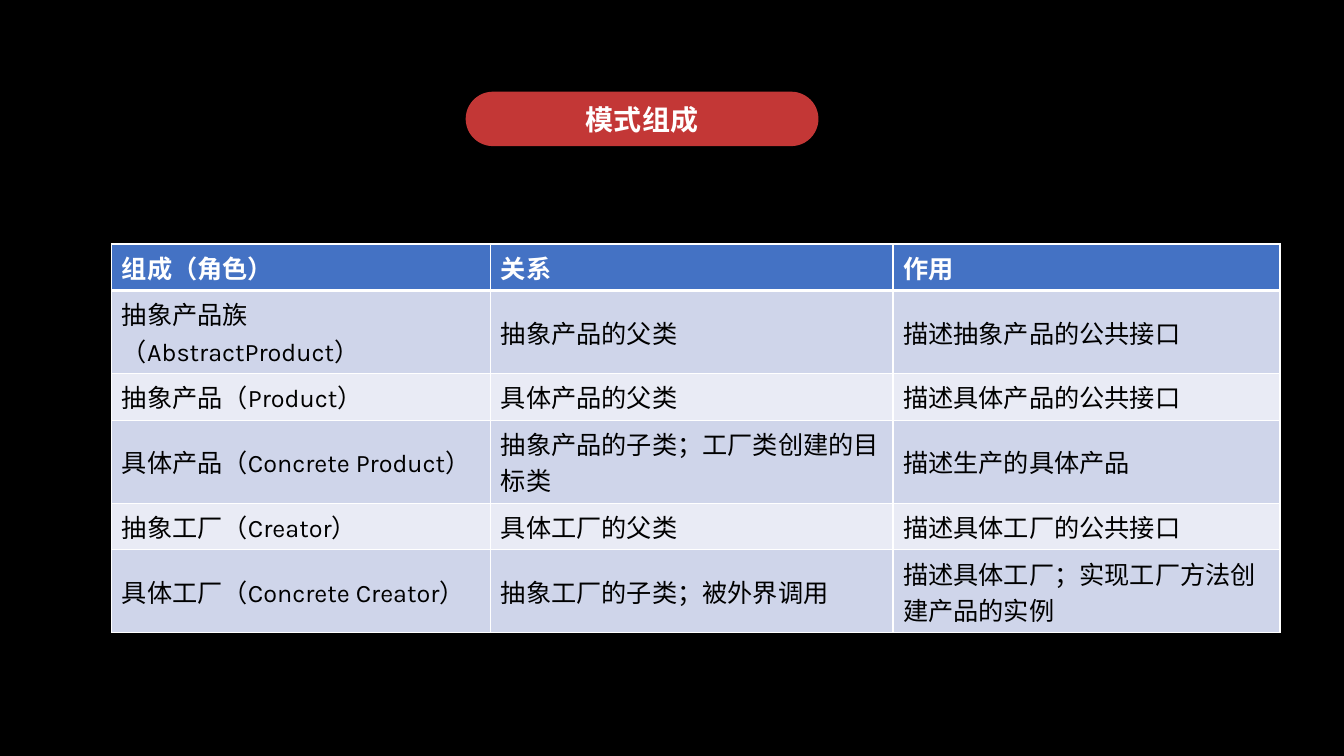
from dataclasses import dataclass

from lxml import etree
from pptx import Presentation
from pptx.dml.color import RGBColor
from pptx.enum.shapes import MSO_SHAPE
from pptx.enum.text import MSO_ANCHOR, PP_ALIGN
from pptx.oxml.ns import qn
from pptx.slide import Slide
from pptx.table import _Cell
from pptx.text.text import _Paragraph
from pptx.util import Pt

ROUNDED_RECTANGLE = MSO_SHAPE.ROUNDED_RECTANGLE
MIDDLE, TOP = MSO_ANCHOR.MIDDLE, MSO_ANCHOR.TOP
CENTER = PP_ALIGN.CENTER


@dataclass(frozen=True)
class Theme:
    font: str = "Karla"
    title_size: float = 20
    table_size: float = 18
    background: str = "000000"
    banner: str = "C33736"
    header: str = "4472C4"
    bands: tuple[str, str] = ("CFD5EA", "E9EBF5")
    light: str = "FFFFFF"
    dark: str = "000000"
    thin_border: float = 1
    thick_border: float = 3


@dataclass(frozen=True)
class Role:
    name: str
    relation: str
    purpose: str


@dataclass(frozen=True)
class CellStyle:
    fill: str
    color: str
    bold: bool
    anchor: MSO_ANCHOR
    top_border: float
    bottom_border: float


THEME = Theme()
HEADINGS = Role("组成（角色）", "关系", "作用")
ROLES = [
    Role("抽象产品族（AbstractProduct）", "抽象产品的父类", "描述抽象产品的公共接口"),
    Role("抽象产品（Product）", "具体产品的父类", "描述具体产品的公共接口"),
    Role("具体产品（Concrete Product）", "抽象产品的子类；工厂类创建的目标类",
         "描述生产的具体产品"),
    Role("抽象工厂（Creator）", "具体工厂的父类", "描述具体工厂的公共接口"),
    Role("具体工厂（Concrete Creator）", "抽象工厂的子类；被外界调用",
         "描述具体工厂；实现工厂方法创建产品的实例"),
]
COLUMN_WIDTHS = (270.72, 287.28, 276.48)
ROW_HEIGHT = 29.52


def add_run(paragraph: _Paragraph, text: str, size: float, color: str, bold: bool) -> None:
    run = paragraph.add_run()
    run.text = text
    run.font.name = THEME.font
    run.font.size = Pt(size)
    run.font.bold = bold
    run.font.color.rgb = RGBColor.from_string(color)


def add_banner(slide: Slide, text: str) -> None:
    banner = slide.shapes.add_shape(ROUNDED_RECTANGLE, Pt(332.64), Pt(65.52), Pt(252), Pt(38.88))
    banner.adjustments[0] = 0.5
    banner.shadow.inherit = False
    banner.fill.solid()
    banner.fill.fore_color.rgb = RGBColor.from_string(THEME.banner)
    banner.line.fill.background()
    banner.text_frame.vertical_anchor = MIDDLE
    paragraph = banner.text_frame.paragraphs[0]
    paragraph.alignment = CENTER
    add_run(paragraph, text, THEME.title_size, THEME.light, True)


def set_borders(cell: _Cell, top: float, bottom: float) -> None:
    """Put the border lines ahead of the cell's fill, as the schema requires."""
    properties = cell._tc.get_or_add_tcPr()
    widths = {"a:lnL": THEME.thin_border, "a:lnR": THEME.thin_border,
              "a:lnT": top, "a:lnB": bottom}
    for position, (tag, width) in enumerate(widths.items()):
        line = etree.Element(qn(tag), w=str(int(Pt(width))))
        fill = etree.SubElement(line, qn("a:solidFill"))
        etree.SubElement(fill, qn("a:srgbClr"), val=THEME.light)
        properties.insert(position, line)


def fill_cell(cell: _Cell, text: str, style: CellStyle) -> None:
    cell.fill.solid()
    cell.fill.fore_color.rgb = RGBColor.from_string(style.fill)
    cell.vertical_anchor = style.anchor
    set_borders(cell, style.top_border, style.bottom_border)
    add_run(cell.text_frame.paragraphs[0], text, THEME.table_size, style.color, style.bold)


def row_style(row_index: int) -> CellStyle:
    thin, thick = THEME.thin_border, THEME.thick_border
    if row_index == 0:
        return CellStyle(THEME.header, THEME.light, True, TOP, thin, thick)
    band = THEME.bands[(row_index - 1) % 2]
    return CellStyle(band, THEME.dark, False, MIDDLE, thick if row_index == 1 else thin, thin)


def add_role_table(slide: Slide) -> None:
    rows = [HEADINGS, *ROLES]
    table = slide.shapes.add_table(
        len(rows), len(COLUMN_WIDTHS), Pt(79.92), Pt(174.24),
        Pt(sum(COLUMN_WIDTHS)), Pt(ROW_HEIGHT * len(rows))).table
    for column, width in zip(table.columns, COLUMN_WIDTHS):
        column.width = Pt(width)
    for row_index, role in enumerate(rows):
        table.rows[row_index].height = Pt(ROW_HEIGHT)
        texts = (role.name, role.relation, role.purpose)
        for column_index, text in enumerate(texts):
            fill_cell(table.cell(row_index, column_index), text, row_style(row_index))


def main() -> None:
    presentation = Presentation()
    presentation.slide_width, presentation.slide_height = Pt(960), Pt(540)
    slide = presentation.slides.add_slide(presentation.slide_layouts[6])
    slide.background.fill.solid()
    slide.background.fill.fore_color.rgb = RGBColor.from_string(THEME.background)
    add_banner(slide, "模式组成")
    add_role_table(slide)
    presentation.save("out.pptx")


if __name__ == "__main__":
    main()
